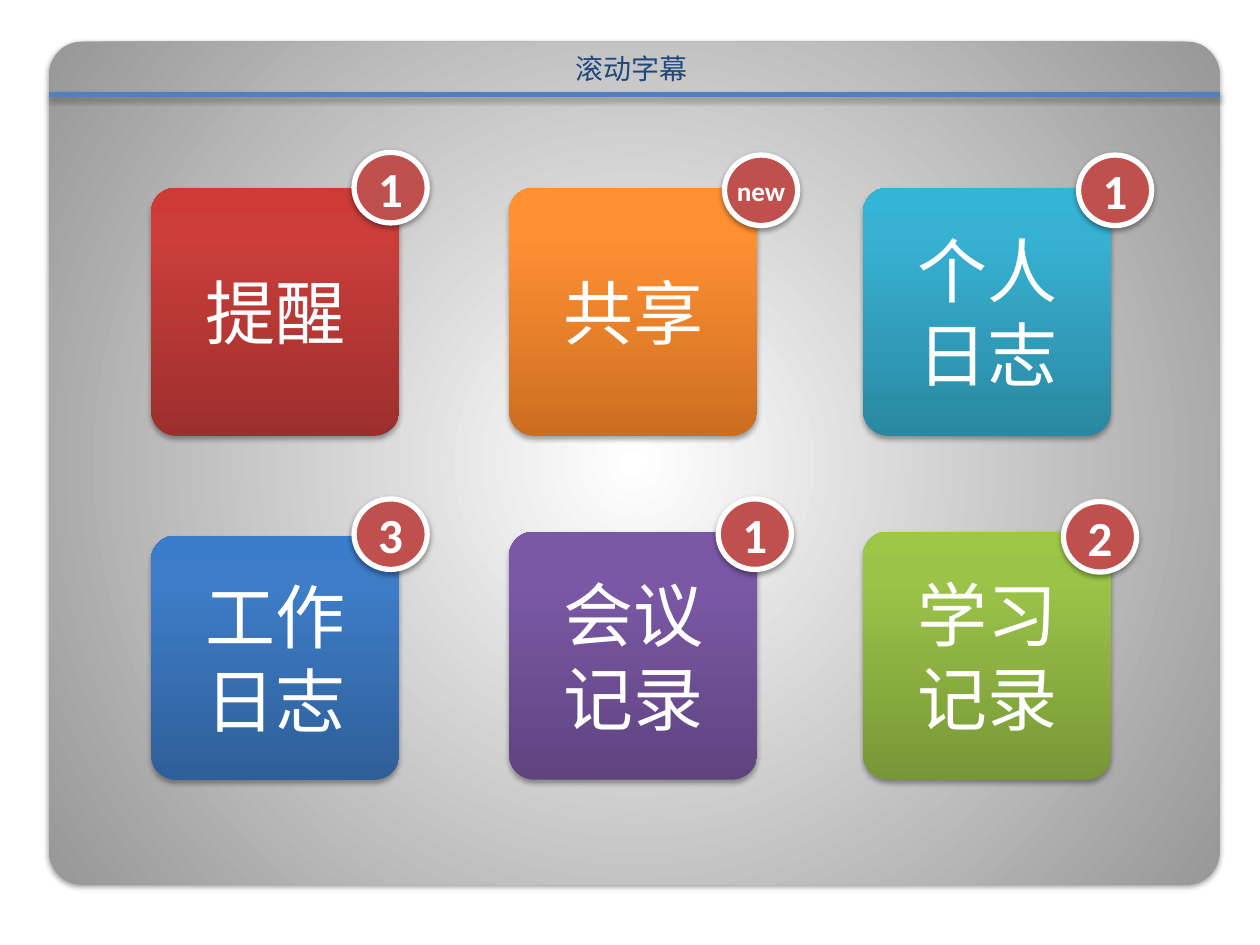
from lxml import etree
from pptx import Presentation, dml, util as u
from pptx.dml import color
from pptx.enum import shapes, text
from pptx.oxml import ns

Pt = u.Pt
hue = color.RGBColor.from_string
cjk = "Noto Sans CJK SC"


def write(shape, words, size, font, tint, bold=False):
    frame = shape.text_frame
    frame.word_wrap = True
    frame.vertical_anchor = text.MSO_ANCHOR.MIDDLE
    frame.text = words
    para = frame.paragraphs[0]
    para.alignment = text.PP_ALIGN.CENTER
    run = para.runs[0]
    run.font.size = Pt(size)
    run.font.name = font
    run.font.bold = bold
    run.font.color.rgb = hue(tint)
    east = etree.SubElement(run._r.rPr, ns.qn("a:ea"))
    east.set("typeface", font)


def style(shape, alpha, dist, stops=(), shade=""):
    props = shape._element.spPr
    if stops:
        shape.line.fill.background()
        marks = "".join(
            f'<a:gs pos="{place * 1000}"><a:srgbClr val="{tint}"/></a:gs>'
            for place, tint in stops)
        props.insert(2, etree.fromstring(
            f'<a:gradFill {ns.nsdecls("a")} rotWithShape="1">'
            f'<a:gsLst>{marks}</a:gsLst>{shade}</a:gradFill>'))
    props.append(etree.fromstring(
        f'<a:effectLst {ns.nsdecls("a")}>'
        f'<a:outerShdw blurRad="{Pt(3.15)}" dist="{Pt(dist)}" dir="5400000" rotWithShape="0">'
        f'<a:srgbClr val="000000"><a:alpha val="{alpha * 1000}"/></a:srgbClr>'
        '</a:outerShdw></a:effectLst>'))


deck = Presentation()
deck.slide_width, deck.slide_height = Pt(720), Pt(540)
slide = deck.slides.add_slide(deck.slide_layouts[6])
draw = slide.shapes
round_box = shapes.MSO_SHAPE.ROUNDED_RECTANGLE

left, top, width = 28.1, 23.8, 668.9
panel = draw.add_shape(round_box, Pt(left), Pt(top), Pt(width), Pt(481.7))
panel.adjustments[0] = 0.039
style(panel, 38, 1.6, [(0, "FFFFFF"), (100, "979797")],
      '<a:path path="circle"><a:fillToRect l="50000" t="50000" r="50000" b="50000"/></a:path>')

rule = draw.add_connector(shapes.MSO_CONNECTOR.STRAIGHT,
                          Pt(left), Pt(54), Pt(left + width), Pt(54))
rule.line.color.rgb = hue("4F81BD")
rule.line.width = Pt(3)
style(rule, 35, 1.8)

title = draw.add_textbox(Pt(46.1), Pt(top), Pt(629.3), Pt(30.2))
write(title, "滚动字幕", 16, cjk, "1F497D")

cols = [86.4, 290.9, 493.2]
side = 141.8
tiles = [
    ("提醒", 107.3, "9C2F2D", "CB3E3A", "CE3B37"),
    ("共享", 107.3, "CC6E20", "FF9034", "FF9136"),
    ("个人日志", 107.3, "2A88A2", "37B1D2", "34B4D6"),
    ("工作日志", 306, "2F5F99", "3D7CC7", "3A7CCB"),
    ("会议记录", 303.8, "5F4480", "7B58A6", "7C57A8"),
    ("学习记录", 303.8, "779737", "9BC348", "9DC746"),
]
for i, (label, y, *tints) in enumerate(tiles):
    base = 249.1 if i < 3 else 445.6
    tile = draw.add_shape(round_box, Pt(cols[i % 3]), Pt(y), Pt(side), Pt(base - y))
    tile.adjustments[0] = 0.101
    style(tile, 35, 1.8, list(zip((0, 80, 100), tints)),
          '<a:lin ang="16200000" scaled="0"/>')
    write(tile, label, 40, cjk, "FFFFFF")

badges = [
    ("1", 202.3, 87.1), ("new", 414, 88.6), ("1", 616.3, 88.6),
    ("3", 202.3, 285.1), ("1", 410.4, 285.1), ("2", 607.7, 286.6),
]
for label, x, y in badges:
    badge = draw.add_shape(shapes.MSO_SHAPE.OVAL, Pt(x), Pt(y), Pt(41.8), Pt(40.3))
    badge.fill.solid()
    badge.fill.fore_color.rgb = hue("C0504D")
    badge.line.color.rgb = hue("FFFFFF")
    badge.line.width = Pt(3)
    style(badge, 38, 1.6)
    write(badge, label, 28 if label.isdigit() else 15.5, "Calibri", "FFFFFF", True)
    if not label.isdigit():
        frame = badge.text_frame
        frame.margin_left = frame.margin_right = 0
        frame.margin_top = frame.margin_bottom = 0

deck.save("out.pptx")
